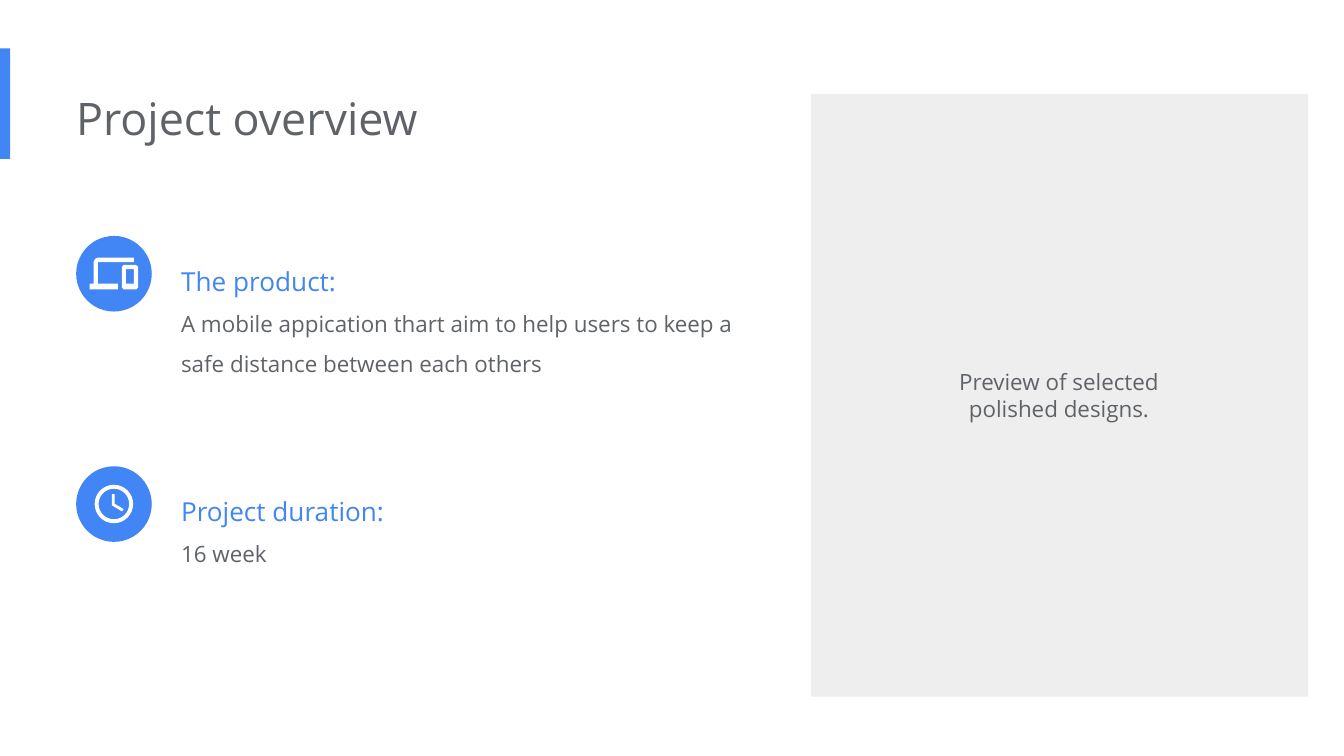
"""Build the project overview slide."""
import pptx
import pptx.dml.color
import pptx.enum.shapes
import pptx.enum.text
import pptx.oxml.ns
import pptx.util

Pt = pptx.util.Pt
RGB = pptx.dml.color.RGBColor
KIND = pptx.enum.shapes.MSO_SHAPE
ALIGN = pptx.enum.text.PP_ALIGN

BLUE = RGB(0x42, 0x85, 0xF4)
GRAY = RGB(0x5F, 0x63, 0x68)
PALE = RGB(0xEE, 0xEE, 0xEE)
WHITE = RGB(0xFF, 0xFF, 0xFF)
FONT = "Open Sans"
LEFT = 40.8
DISC = 40.5
BEND = 0.55


def paint(shape, color):
    shape.shadow.inherit = False
    shape.fill.solid()
    shape.fill.fore_color.rgb = color
    shape.line.fill.background()


def add_block(slide, kind, box, color):
    paint(slide.shapes.add_shape(kind, *map(Pt, box)), color)


def add_text(slide, box, lines, inset=0, align=ALIGN.LEFT, space=None):
    frame = slide.shapes.add_textbox(*map(Pt, box)).text_frame
    frame.word_wrap = True
    frame.auto_size = pptx.enum.text.MSO_AUTO_SIZE.SHAPE_TO_FIT_TEXT
    frame.margin_left = Pt(inset)
    frame.margin_right = frame.margin_top = frame.margin_bottom = Pt(7.2)
    for index, (words, size, color) in enumerate(lines):
        para = frame.add_paragraph() if index else frame.paragraphs[0]
        para.alignment = align
        para.line_spacing = space
        run = para.add_run()
        run.text = words
        run.font.name = FONT
        run.font.size = Pt(size)
        run.font.color.rgb = color


def add_icon(slide, rings):
    """Draw rings whose steps hold one point for a line or three for a curve."""
    pen = None
    for ring in rings:
        start, *rest = [(Pt(x), Pt(y)) for step in ring for x, y in step]
        if pen:
            pen.move_to(*start)
        else:
            pen = slide.shapes.build_freeform(*start, scale=1.0)
        pen.add_line_segments(rest, close=True)
    shape = pen.convert_to_shape()
    paint(shape, WHITE)
    lines = iter(list(shape.element.iter(pptx.oxml.ns.qn("a:lnTo"))))
    for step in (step for ring in rings for step in ring[1:]):
        group = [next(lines) for point in step]
        if len(group) == 3:
            curve = group[0].makeelement(pptx.oxml.ns.qn("a:cubicBezTo"))
            group[0].addprevious(curve)
            for line in group:
                curve.append(line[0])
                line.getparent().remove(line)


def trace(*points):
    return [(point,) for point in points]


def circle(x, y, radius, turn=1):
    ring, (dx, dy) = trace((x, y - radius)), (0, -radius)
    for quarter in range(4):
        ex, ey = -dy * turn, dx * turn
        ring.append(((x + dx + BEND * ex, y + dy + BEND * ey),
                     (x + ex + BEND * dx, y + ey + BEND * dy), (x + ex, y + ey)))
        dx, dy = ex, ey
    return ring


def corner(start, tip, end):
    bends = [tuple(a + BEND * (b - a) for a, b in zip(side, tip))
             for side in (start, end)]
    return (*bends, end)


def add_clock(slide):
    x, y = 61, 270
    hand = [(-1.1, -5.2), (-1.1, 0.7), (4.4, 4), (5.2, 2.7), (0.4, -0.1), (0.4, -5.2)]
    add_icon(slide, [circle(x, y, 10.3), circle(x, y, 8.2, -1),
                     trace(*((x + dx, y + dy) for dx, dy in hand))])


def add_screens(slide):
    laptop = trace((52.4, 140.4), (71.8, 140.4), (71.8, 138.1), (52.4, 138.1))
    laptop.append(corner((52.4, 138.1), (50.2, 138.1), (50.2, 140.4)))
    laptop += trace((50.2, 152), (48, 152), (48, 155.1), (63.2, 155.1),
                    (63.2, 152), (52.4, 152))
    left, top, right, low, cut = 65.3, 142, 74, 155.1, 1
    phone = trace((right - cut, top), (left + cut, top))
    phone.append(corner((left + cut, top), (left, top), (left, top + cut)))
    phone += trace((left, low - cut))
    phone.append(corner((left, low - cut), (left, low), (left + cut, low)))
    phone += trace((right - cut, low))
    phone.append(corner((right - cut, low), (right, low), (right, low - cut)))
    phone += trace((right, top + cut))
    phone.append(corner((right, top + cut), (right, top), (right - cut, top)))
    glass = trace((71.8, 152), (71.8, 144.2), (67.5, 144.2), (67.5, 152))
    add_icon(slide, [laptop, phone, glass[:1] + glass[1:][::1]][:2] + [glass[::-1]])


def add_topic(slide, top, box, head, body):
    add_block(slide, KIND.OVAL, (LEFT, top, DISC, DISC), BLUE)
    add_text(slide, (97, top, *box), [(head, 14, BLUE), (body, 12, GRAY)], space=1.5)


def main():
    deck = pptx.Presentation()
    deck.slide_width, deck.slide_height = Pt(720), Pt(405)
    slide = deck.slides.add_slide(deck.slide_layouts[6])
    add_block(slide, KIND.RECTANGLE, (0, 26, 5.5, 59.2), BLUE)
    add_block(slide, KIND.RECTANGLE, (434.5, 50.3, 266.3, 323), PALE)
    add_text(slide, (LEFT, 41.4, 485, 44), [("Project overview", 24, GRAY)])
    add_topic(slide, 126.4, (322, 83.5), "The product:",
              "A mobile appication thart aim to help users to keep a "
              "safe distance between each others")
    add_topic(slide, 249.8, (271.5, 62), "Project duration:", "16 week")
    add_clock(slide)
    add_screens(slide)
    add_text(slide, (496.1, 190, 142.5, 44),
             [("Preview of selected polished designs.", 12, GRAY)],
             inset=7.2, align=ALIGN.CENTER)
    deck.save("out.pptx")


if __name__ == "__main__":
    main()
